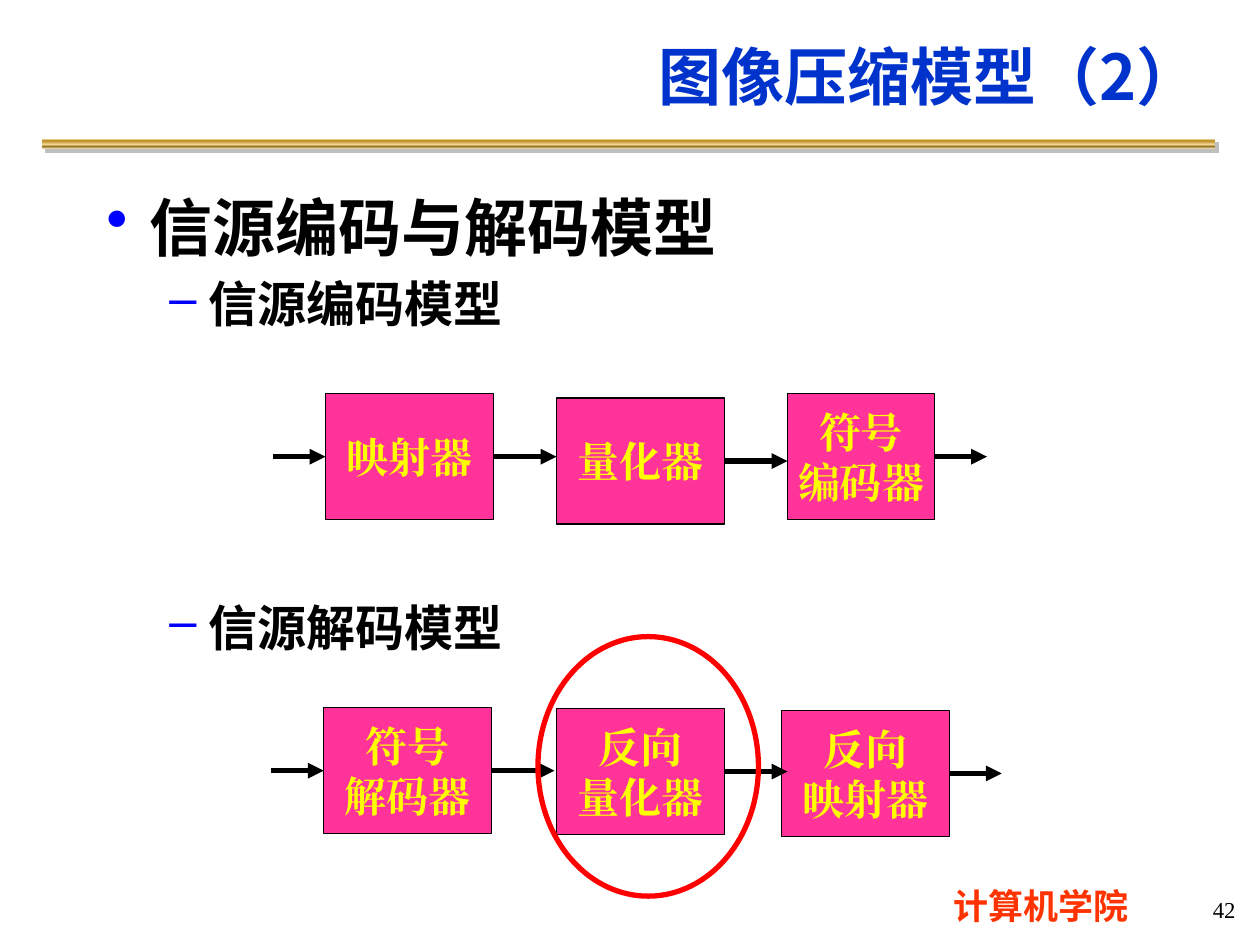
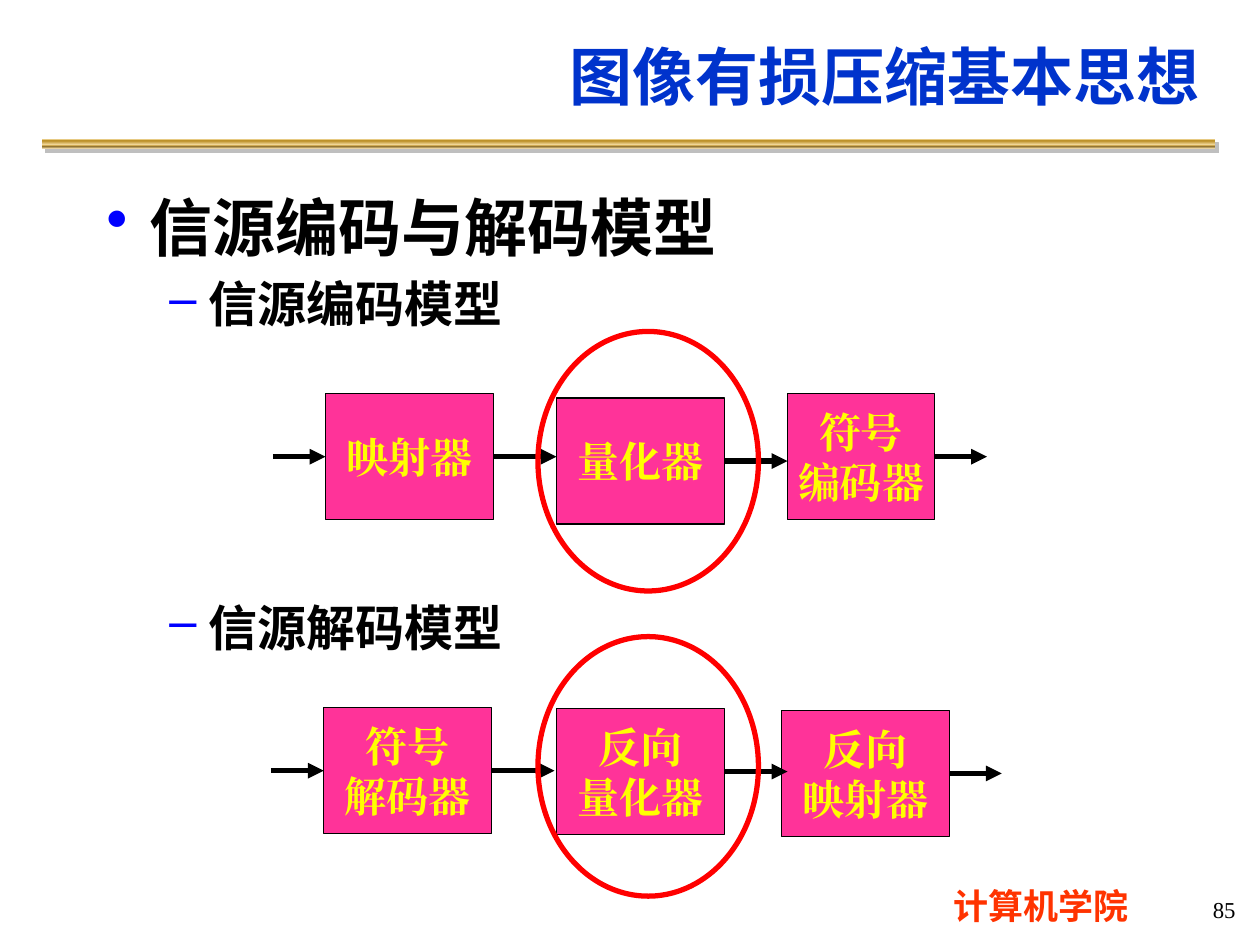
"""Builds two slides on source encoding and decoding models."""
from dataclasses import dataclass

from lxml.etree import SubElement
from pptx import Presentation
from pptx.dml.color import RGBColor
from pptx.enum.shapes import MSO_CONNECTOR, MSO_SHAPE
from pptx.enum.text import MSO_ANCHOR, PP_ALIGN
from pptx.oxml.ns import qn
from pptx.shapes.autoshape import Shape
from pptx.slide import Slide
from pptx.text.text import TextFrame
from pptx.util import Pt

BLACK = RGBColor(0x00, 0x00, 0x00)
BLUE = RGBColor(0x00, 0x33, 0xCC)
MARK = RGBColor(0x00, 0x00, 0xFF)
ORANGE = RGBColor(0xFF, 0x33, 0x00)
PINK = RGBColor(0xFF, 0x33, 0x99)
RED = RGBColor(0xFF, 0x00, 0x00)
YELLOW = RGBColor(0xFF, 0xFF, 0x00)
GREY = RGBColor(0x80, 0x80, 0x80)
CREAM = RGBColor(0xFB, 0xE4, 0xAE)
GOLD = RGBColor(0xBD, 0x92, 0x2A)
BROWN = RGBColor(0x83, 0x5E, 0x17)
OLIVE = RGBColor(0xA2, 0x89, 0x49)
PALE = RGBColor(0xFA, 0xE3, 0xB7)
STOPS = [(0, CREAM), (13, GOLD), (21, GOLD), (63, CREAM),
         (67, GOLD), (69, BROWN), (82, OLIVE), (100, PALE)]

SANS = "Noto Sans CJK SC"
SERIF = "Times New Roman"


@dataclass(frozen=True)
class Style:
    """Look of a line of text."""
    size: float
    color: RGBColor
    face: str = SANS
    bold: bool = True
    align: PP_ALIGN = PP_ALIGN.LEFT
    pitch: float | None = None
    before: float = 0


@dataclass(frozen=True)
class Bullet:
    """A bulleted line, with lengths in points."""
    text: str
    sign: str
    left: float
    hang: float
    style: Style


@dataclass(frozen=True)
class Box:
    """A stage of a chain and where its outgoing arrow ends."""
    text: str
    left: float
    top: float
    tip: float
    width: float = 96


@dataclass(frozen=True)
class Chain:
    """A row of stages, the start of its first arrow and its ring."""
    start: float
    boxes: tuple[Box, ...]
    ring: float


@dataclass(frozen=True)
class Page:
    """What differs from slide to slide."""
    title: str
    number: str
    rings: tuple[Chain, ...]


TITLE = Style(36, BLUE, align=PP_ALIGN.RIGHT)
SCHOOL = Style(20, ORANGE, align=PP_ALIGN.CENTER)
NUMBER = Style(13, BLACK, SERIF, False, PP_ALIGN.RIGHT)
STAGE = Style(24, YELLOW, SERIF, align=PP_ALIGN.CENTER, pitch=28.8)

BODY = [
    Bullet("信源编码与解码模型", "•", 24.5, 24.5, Style(36, BLACK, pitch=45.6)),
    Bullet("信源编码模型", "–", 58.3, 22.3, Style(28, BLACK, pitch=34, before=5)),
    Bullet("信源解码模型", "–", 58.3, 22.3, Style(28, BLACK, pitch=34, before=151)),
]
CODER = Chain(156, (
    Box("映射器", 186, 225, 318),
    Box("量化器", 318, 227.5, 450),
    Box("符号\n编码器", 450, 225, 564, 84),
), 189.4)
DECODER = Chain(154.8, (
    Box("符号\n解码器", 185, 404.4, 316.8),
    Box("反向\n量化器", 318, 404.9, 450),
    Box("反向\n映射器", 446.4, 406, 572.4),
), 363.8)
PAGES = [
    Page("图像压缩模型（2）", "42", (DECODER,)),
    Page("图像有损压缩基本思想", "85", (DECODER, CODER)),
]


def write(frame: TextFrame, text: str, style: Style) -> None:
    """Fill a frame with lines of one style."""
    for i, line in enumerate(text.split("\n")):
        para = frame.paragraphs[0] if i == 0 else frame.add_paragraph()
        add_line(para, line, style)


def add_line(para, text: str, style: Style) -> None:
    """Set the text and style of a paragraph."""
    run = para.add_run()
    run.text = text
    para.alignment = style.align
    if style.pitch:
        para.line_spacing = Pt(style.pitch)
    if style.before:
        para.space_before = Pt(style.before)
    font = para.font
    font.size, font.bold, font.name = Pt(style.size), style.bold, style.face
    font.color.rgb = style.color
    SubElement(run.font._element, qn("a:ea"), typeface=style.face)


def add_frame(slide: Slide, left: float, top: float, width: float,
              height: float, pad: float = 0, anchor: MSO_ANCHOR = MSO_ANCHOR.TOP,
              wrap: bool = True) -> TextFrame:
    """Add an empty text box."""
    frame = slide.shapes.add_textbox(
        Pt(left), Pt(top), Pt(width), Pt(height)).text_frame
    set_frame(frame, pad, anchor, wrap)
    return frame


def set_frame(frame: TextFrame, pad: float, anchor: MSO_ANCHOR, wrap: bool) -> None:
    """Set the insets, anchor and wrap of a frame."""
    frame.margin_left = frame.margin_right = Pt(pad)
    frame.margin_top = frame.margin_bottom = Pt(pad / 2)
    frame.vertical_anchor, frame.word_wrap = anchor, wrap


def add_form(slide: Slide, kind: MSO_SHAPE, left: float, top: float,
             width: float, height: float) -> Shape:
    """Add a preset shape with no shadow."""
    form = slide.shapes.add_shape(kind, Pt(left), Pt(top), Pt(width), Pt(height))
    form.shadow.inherit = False
    return form


def add_band(slide: Slide) -> None:
    """Draw the gold band below the title."""
    band = add_form(slide, MSO_SHAPE.RECTANGLE, 24, 79.5, 670.3, 5.6)
    band.line.fill.background()
    band.fill.gradient()
    band.fill.gradient_angle = 270
    props = band.element.spPr
    stops = props.find(".//" + qn("a:gsLst"))
    for old in list(stops):
        stops.remove(old)
    for place, color in STOPS:
        stop = SubElement(stops, qn("a:gs"), pos=str(place * 1000))
        SubElement(stop, qn("a:srgbClr"), val=str(color))
    shade = SubElement(props.find(qn("a:effectLst")), qn("a:outerShdw"),
                       dist=str(Pt(2.8)), dir="2700000", rotWithShape="0")
    tint = SubElement(shade, qn("a:srgbClr"), val=str(GREY))
    SubElement(tint, qn("a:alpha"), val="50000")


def add_body(slide: Slide) -> None:
    """Write the bulleted list."""
    frame = add_frame(slide, 54, 102.2, 576, 336.2, 6.8)
    for i, item in enumerate(BODY):
        para = frame.paragraphs[0] if i == 0 else frame.add_paragraph()
        props = para._p.get_or_add_pPr()
        props.set("marL", str(Pt(item.left)))
        props.set("indent", str(-Pt(item.hang)))
        color = SubElement(props, qn("a:buClr"))
        SubElement(color, qn("a:srgbClr"), val=str(MARK))
        SubElement(props, qn("a:buChar"), char=item.sign)
        add_line(para, item.text, item.style)


def add_stage(slide: Slide, box: Box) -> Shape:
    """Draw one stage of a chain."""
    stage = add_form(slide, MSO_SHAPE.RECTANGLE, box.left, box.top, box.width, 72)
    stage.fill.solid()
    stage.fill.fore_color.rgb = PINK
    stage.line.color.rgb, stage.line.width = BLACK, Pt(0.75)
    set_frame(stage.text_frame, 0, MSO_ANCHOR.MIDDLE, False)
    write(stage.text_frame, box.text, STAGE)
    return stage


def add_arrow(slide: Slide, start: float, end: float, level: float):
    """Draw a level arrow."""
    arrow = slide.shapes.add_connector(
        MSO_CONNECTOR.STRAIGHT, Pt(start), Pt(level), Pt(end), Pt(level))
    arrow.line.color.rgb, arrow.line.width = BLACK, Pt(3)
    props = arrow.element.spPr
    SubElement(props.find(qn("a:ln")), qn("a:tailEnd"), type="triangle")
    SubElement(props, qn("a:effectLst"))
    return arrow


def add_chain(slide: Slide, chain: Chain) -> None:
    """Draw the stages of a chain and the arrows between them."""
    stages = [add_stage(slide, box) for box in chain.boxes]
    first = chain.boxes[0]
    entry = add_arrow(slide, chain.start, first.left, first.top + 36)
    entry.end_connect(stages[0], 1)
    for box, stage in zip(chain.boxes, stages):
        arrow = add_arrow(slide, box.left + box.width, box.tip, box.top + 36)
        arrow.begin_connect(stage, 3)


def add_ring(slide: Slide, top: float) -> None:
    """Circle the middle stage of a chain."""
    ring = add_form(slide, MSO_SHAPE.OVAL, 307.4, top, 126, 148.3)
    ring.fill.background()
    ring.line.color.rgb, ring.line.width = RED, Pt(3)


def add_page(deck, page: Page) -> None:
    """Build one slide."""
    slide = deck.slides.add_slide(deck.slide_layouts[6])
    add_band(slide)
    write(add_frame(slide, 496, 505.4, 198, 31), "计算机学院", SCHOOL)
    write(add_frame(slide, 575.3, 506.2, 137.5, 26.6, 6.8, MSO_ANCHOR.MIDDLE, False),
          page.number, NUMBER)
    add_body(slide)
    write(add_frame(slide, 76.3, 8.6, 616.3, 68.4, 7.2, MSO_ANCHOR.MIDDLE),
          page.title, TITLE)
    for chain in (CODER, DECODER):
        add_chain(slide, chain)
    for chain in page.rings:
        add_ring(slide, chain.ring)


def main() -> None:
    """Build and save the deck."""
    deck = Presentation()
    deck.slide_width, deck.slide_height = Pt(720), Pt(540)
    for page in PAGES:
        add_page(deck, page)
    deck.save("out.pptx")


if __name__ == "__main__":
    main()
